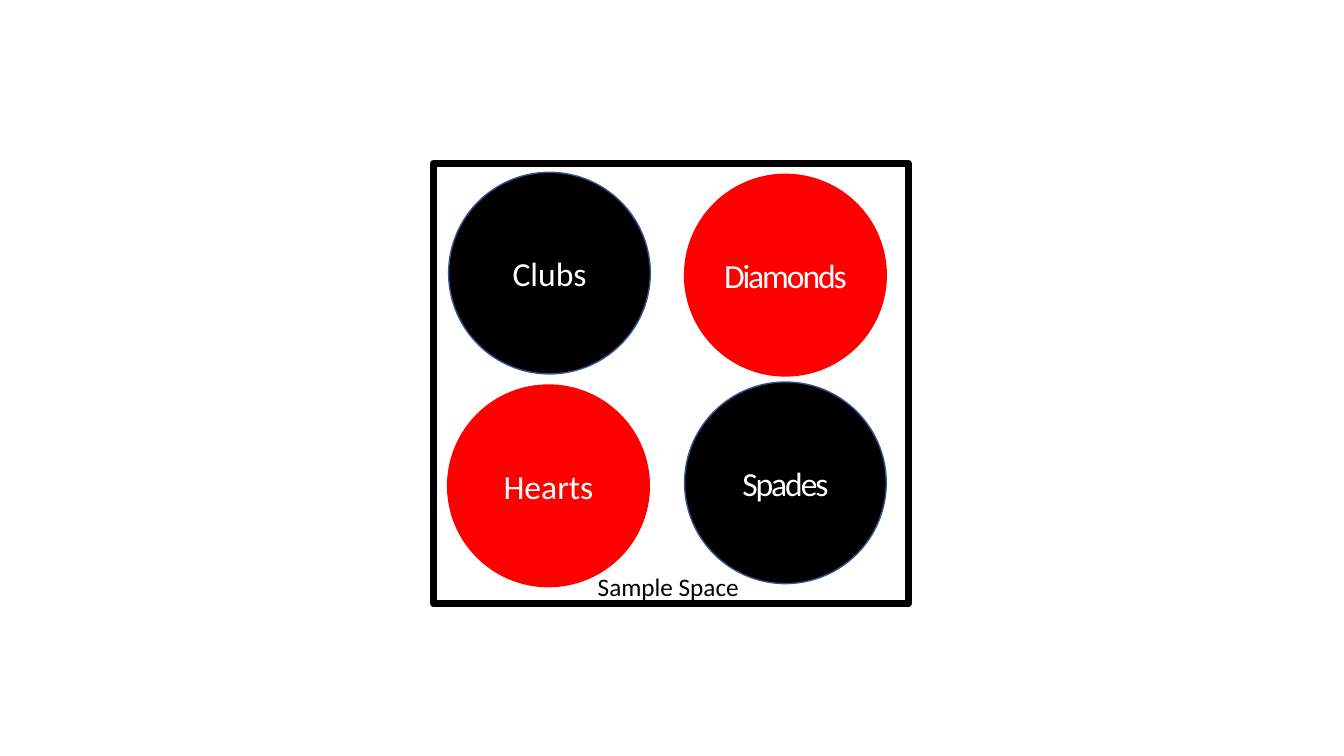
import pptx
import pptx.util
import pptx.dml.color
import pptx.enum.shapes
import pptx.enum.text

Inches, Pt = pptx.util.Inches, pptx.util.Pt
SHAPE = pptx.enum.shapes.MSO_SHAPE
ALIGN = pptx.enum.text.PP_ALIGN
ANCHOR = pptx.enum.text.MSO_ANCHOR

COLORS = {"black": "000000", "red": "FF0000", "white": "FFFFFF", "blue": "325491"}

# Content: suit, column, row, nudge (x, y), fill, outline, letter spacing in points
SUITS = [
    ("Clubs", 0, 0, (0, 0), "black", "blue", 0),
    ("Diamonds", 1, 0, (0, 0.02), "red", "red", -1.5),
    ("Spades", 1, 1, (0, 0), "black", "blue", -1.5),
    ("Hearts", 0, 1, (-0.01, 0.03), "red", "red", 0),
]
CAPTION = "Sample Space"

# Layout in inches
FRAME = (4.3, 1.62, 4.71, 4.37)
GRID_LEFT, GRID_TOP = 4.45, 1.71
COL_STEP, ROW_STEP = 2.34, 2.08
DIAMETER = 2
CAPTION_BOX = (5.83, 5.62, 1.62, 0.4)


def rgb(name):
    return pptx.dml.color.RGBColor.from_string(COLORS[name])


def add_shape(slide, kind, box, line, width, fill=None):
    sp = slide.shapes.add_shape(kind, *map(Inches, box))
    sp.shadow.inherit = False
    if fill:
        sp.fill.solid()
        sp.fill.fore_color.rgb = rgb(fill)
    else:
        sp.fill.background()
    sp.line.color.rgb = rgb(line)
    sp.line.width = Pt(width)
    return sp


def write(sp, text, size=24, color="white", align=ALIGN.CENTER,
          anchor=ANCHOR.MIDDLE, wrap=True, spacing=0):
    tf = sp.text_frame
    tf.word_wrap = wrap
    tf.vertical_anchor = anchor
    p = tf.paragraphs[0]
    p.alignment = align
    r = p.add_run()
    r.text = text
    r.font.name = "Calibri"
    r.font.size = Pt(size)
    r.font.color.rgb = rgb(color)
    if spacing:
        r.font._element.set("spc", str(int(spacing * 100)))


def main():
    prs = pptx.Presentation()
    prs.slide_width, prs.slide_height = Inches(13.33), Inches(7.5)
    slide = prs.slides.add_slide(prs.slide_layouts[6])

    # Frame of the sample space
    add_shape(slide, SHAPE.RECTANGLE, FRAME, "black", 5)

    # One circle per suit
    for suit, col, row, (dx, dy), fill, line, spacing in SUITS:
        left = GRID_LEFT + col * COL_STEP + dx
        top = GRID_TOP + row * ROW_STEP + dy
        sp = add_shape(slide, SHAPE.OVAL, (left, top, DIAMETER, DIAMETER), line, 1, fill)
        write(sp, suit, spacing=spacing)

    # Caption
    sp = slide.shapes.add_textbox(*map(Inches, CAPTION_BOX))
    write(sp, CAPTION, size=18, color="black", align=ALIGN.LEFT,
          anchor=ANCHOR.TOP, wrap=False)
    sp.text_frame.auto_size = pptx.enum.text.MSO_AUTO_SIZE.SHAPE_TO_FIT_TEXT

    prs.save("out.pptx")


if __name__ == "__main__":
    main()
